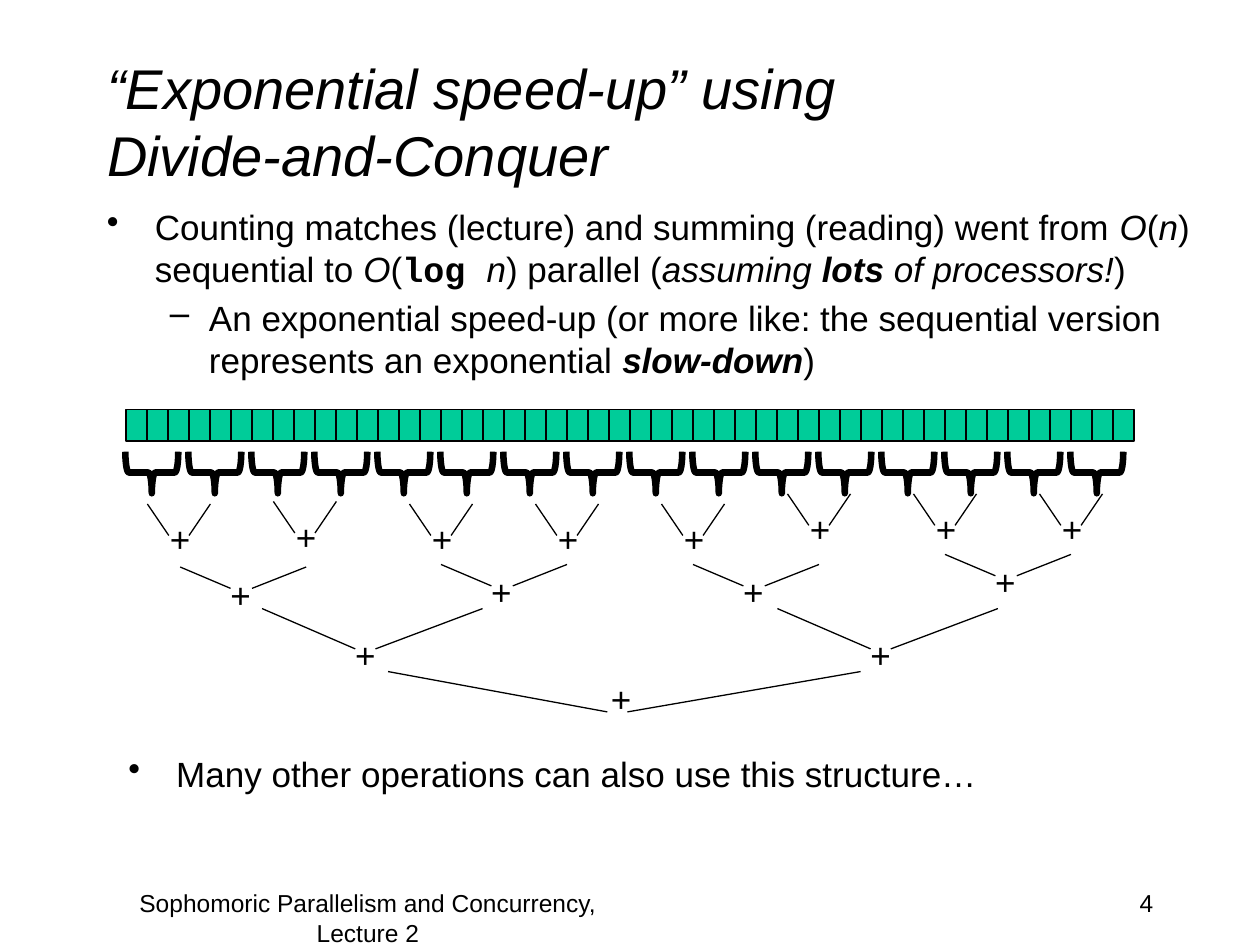
from dataclasses import dataclass

from lxml import etree
from pptx import Presentation
from pptx import util as u
from pptx.dml.color import RGBColor
from pptx.enum import shapes, text
from pptx.oxml.ns import qn


@dataclass(frozen=True)
class Theme:
    ink: RGBColor = RGBColor(0, 0, 0)
    cell: RGBColor = RGBColor(0x00, 0xCC, 0x99)
    font: str = "Arial"
    code: str = "Courier New"
    head: int = 32
    body: int = 20
    foot: int = 14
    thin: float = 0.75
    thick: float = 3.75


T = Theme()
TITLE = "“Exponential speed-up” using\vDivide-and-Conquer"

# Runs are (text, style): i italic, b bold, c code font.
# Bullets are (mark, indent, hang, runs).
POINTS = [
    ("•", 0.38, 0.38, [
        ("Counting matches (lecture) and summing (reading) went from ", ""),
        ("O", "i"), ("(", ""), ("n", "i"), (") sequential to ", ""),
        ("O", "i"), ("(", ""), ("log ", "bc"), ("n", "i"),
        (") parallel (", ""), ("assuming ", "i"), ("lots", "bi"),
        (" of processors!", "i"), (")", "")]),
    ("–", 0.81, 0.31, [
        ("An exponential speed-up (or more like: the sequential version "
         "represents an exponential ", ""),
        ("slow-down", "bi"), (")", "")]),
]
CLOSE = [("•", 0.38, 0.38,
          [("Many other operations can also use this structure…", "")])]
FOOT = [
    ("4", (7.17, 7, 2.08, 0.5), text.PP_ALIGN.RIGHT),
    ("Sophomoric Parallelism and Concurrency, Lecture 2",
     (0.67, 7, 4.5, 0.5), text.PP_ALIGN.CENTER),
]

LEFT, WIDTH = 1, 8
CELLS, GROUPS = 48, 16

# Each level: span between the two inputs, where both lines end
# (left x, right x, drop), plus-box offset, and the nodes' top-left points.
TREE = [
    (0.5, (0.17, 0.33, 0.25), (0.08, 0.06),
     [(1.17, 4), (2.17, 3.98), (3.25, 4), (4.25, 4), (5.25, 4),
      (6.25, 3.92), (7.25, 3.92), (8.25, 3.92)]),
    (1, (0.4, 0.57, 0.17), (0.3, 0),
     [(1.43, 4.5), (3.5, 4.48), (5.5, 4.48), (7.5, 4.4)]),
    (1.75, (0.74, 0.9, 0.32), (0.64, 0.15), [(2.08, 4.83), (6.17, 4.83)]),
    (3.75, (1.74, 1.9, 0.32), (1.67, 0), [(3.08, 5.33)]),
]


def inches(*nums):
    return [u.Inches(n) for n in nums]


def style(run, size, look=""):
    font = run.font
    font.size = u.Pt(size)
    font.name = T.code if "c" in look else T.font
    font.bold, font.italic = "b" in look, "i" in look
    font.color.rgb = T.ink


def add_text(slide, box, wrap=True):
    frame = slide.shapes.add_textbox(*inches(*box)).text_frame
    frame.word_wrap = wrap
    return frame


def add_label(slide, words, box, size, align=text.PP_ALIGN.LEFT, wrap=True):
    para = add_text(slide, box, wrap).paragraphs[0]
    para.text = words
    para.alignment = align
    style(para.runs[0], size)


def add_points(slide, box, points):
    frame = add_text(slide, box)
    for n, (mark, indent, hang, runs) in enumerate(points):
        para = frame.add_paragraph() if n else frame.paragraphs[0]
        para.level = n
        para.space_before = u.Pt(T.body * 0.2)
        props = para._p.get_or_add_pPr()
        props.set("marL", str(u.Inches(indent)))
        props.set("indent", str(-u.Inches(hang)))
        etree.SubElement(props, qn("a:buChar")).set("char", mark)
        for words, look in runs:
            run = para.add_run()
            run.text = words
            style(run, T.body, look)


def add_line(slide, *ends):
    line = slide.shapes.add_connector(
        shapes.MSO_CONNECTOR.STRAIGHT, *inches(*ends))
    line.line.color.rgb = T.ink
    line.line.width = u.Pt(T.thin)
    etree.SubElement(line._element.spPr, qn("a:effectLst"))


def add_shape(slide, kind, box, width):
    shape = slide.shapes.add_shape(kind, *inches(*box))
    shape.shadow.inherit = False
    shape.line.color.rgb = T.ink
    shape.line.width = u.Pt(width)
    return shape


def add_array(slide):
    step = WIDTH / CELLS
    for n in range(CELLS):
        cell = add_shape(slide, shapes.MSO_SHAPE.RECTANGLE,
                         (LEFT + n * step, 3.25, step, 0.25), T.thin)
        cell.fill.solid()
        cell.fill.fore_color.rgb = T.cell
    step = WIDTH / GROUPS
    for n in range(GROUPS):
        brace = add_shape(slide, shapes.MSO_SHAPE.LEFT_BRACE,
                          (LEFT + 0.04 + n * step, 3.54, 0.33, 0.42), T.thick)
        brace.fill.background()
        brace.rotation = 270


def add_tree(slide):
    for span, (near, far, drop), (dx, dy), nodes in TREE:
        for x, y in nodes:
            add_line(slide, x, y, x + near, y + drop)
            add_line(slide, x + span, y, x + far, y + drop)
            add_label(slide, "+", (x + dx, y + dy, 0.36, 0.44),
                      T.body, wrap=False)


def add_title(slide):
    title = slide.shapes.title
    title.left, title.top, title.width, title.height = inches(
        0.75, 0.33, 8.5, 1.25)
    frame = title.text_frame
    frame.text = TITLE
    frame.auto_size = text.MSO_AUTO_SIZE.NONE
    frame.vertical_anchor = text.MSO_ANCHOR.MIDDLE
    para = frame.paragraphs[0]
    para.alignment = text.PP_ALIGN.LEFT
    for run in para.runs:
        style(run, T.head, "i")


def main():
    deck = Presentation()
    deck.slide_width, deck.slide_height = inches(10, 7.5)
    slide = deck.slides.add_slide(deck.slide_layouts[5])
    add_title(slide)
    add_points(slide, (0.75, 1.58, 8.92, 1.25), POINTS)
    for words, box, align in FOOT:
        add_label(slide, words, box, T.foot, align)
    add_array(slide)
    add_tree(slide)
    add_points(slide, (0.92, 5.92, 8.5, 0.83), CLOSE)
    deck.save("out.pptx")


if __name__ == "__main__":
    main()
